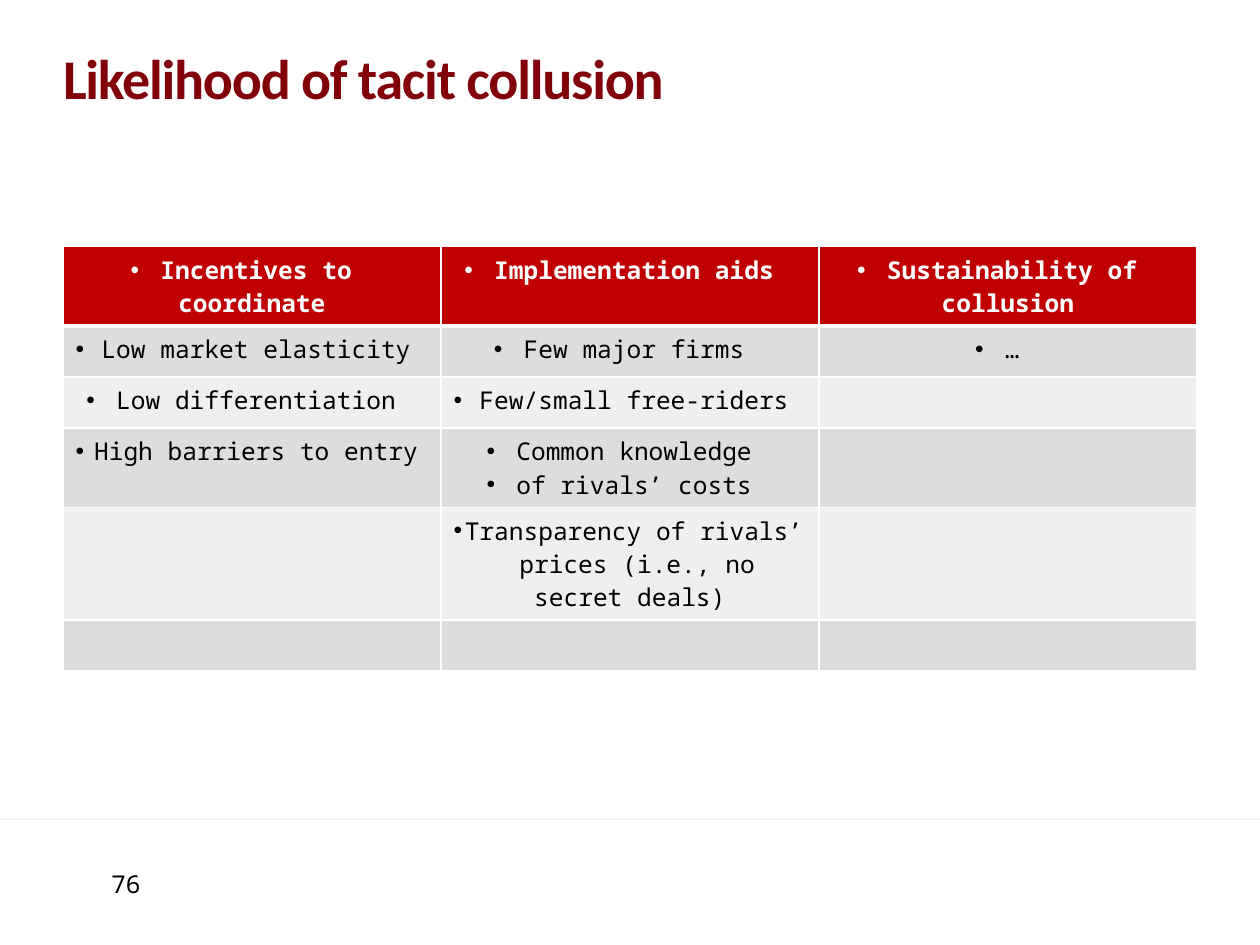
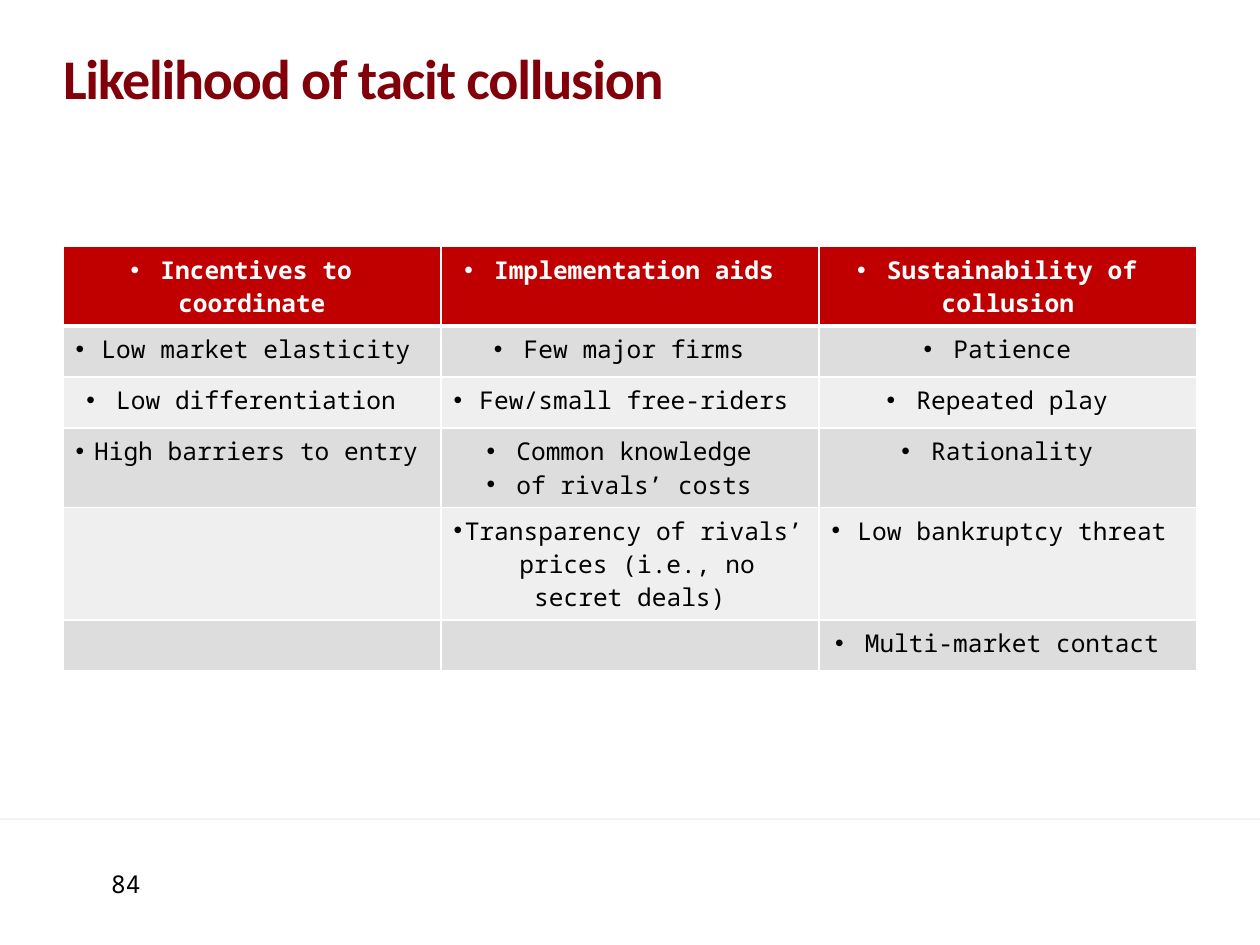
from dataclasses import dataclass

from lxml import etree
from pptx import Presentation
from pptx.dml.color import RGBColor
from pptx.enum.shapes import MSO_CONNECTOR
from pptx.enum.text import MSO_ANCHOR, PP_ALIGN
from pptx.oxml.ns import qn
from pptx.util import Cm, Pt

LEFT, CENTER = PP_ALIGN.LEFT, PP_ALIGN.CENTER
BOTTOM = MSO_ANCHOR.BOTTOM
STRAIGHT = MSO_CONNECTOR.STRAIGHT
TITLE_ONLY = 5


@dataclass(frozen=True)
class Theme:
    title_color: str = "820009"
    rule_color: str = "6E0000"
    rule_alpha: int = 40000
    header_fill: str = "C00000"
    bands: tuple = ("DDDDDD", "EFEFEF")
    text_color: str = "000000"
    white: str = "FFFFFF"
    title_font: str = "Calibri"
    text_font: str = "Noto Sans Mono"
    title_size: float = 32
    text_size: float = 14
    title_tracking: int = -70
    rule_width: float = 0.25
    border_width: float = 1
    header_border_width: float = 3


def sub(parent, tag, **attrs):
    """Append a DrawingML child element and return it."""
    return etree.SubElement(parent, qn(f"a:{tag}"), attrs)


def set_all(obj, **values):
    for name, value in values.items():
        setattr(obj, name, value)


class Deck:
    def __init__(self, theme):
        self.theme = theme
        self.prs = Presentation()
        set_all(self.prs, slide_width=Cm(25.4), slide_height=Cm(19.05))
        self.s = None

    def new_slide(self, title, number):
        self.s = self.prs.slides.add_slide(self.prs.slide_layouts[TITLE_ONLY])
        self.rule()
        self.page_number(number)
        self.title(title)

    def style(self, r, font, size, color, bold=False):
        set_all(r.font, name=font, size=Pt(size), bold=bold)
        r.font.color.rgb = RGBColor.from_string(color)

    def rule(self):
        y = Cm(16.51)
        line = self.s.shapes.add_connector(STRAIGHT, 0, y, self.prs.slide_width, y)
        line.line.color.rgb = RGBColor.from_string(self.theme.rule_color)
        line.line.width = Pt(self.theme.rule_width)
        spPr = line._element.spPr
        sub(spPr.find(".//" + qn("a:srgbClr")), "alpha", val=str(self.theme.rule_alpha))
        sub(spPr, "effectLst")

    def title(self, text):
        t, sp = self.theme, self.s.shapes.title
        set_all(sp, left=Cm(1.27), top=Cm(0.74), width=Cm(22.86), height=Cm(1.52))
        tf = sp.text_frame
        set_all(tf, margin_left=0, margin_top=0, margin_right=0, margin_bottom=0,
                vertical_anchor=BOTTOM, word_wrap=True)
        p = tf.paragraphs[0]
        set_all(p, alignment=LEFT, line_spacing=0.9)
        r = p.add_run()
        r.text = text
        self.style(r, t.title_font, t.title_size, t.title_color, bold=True)
        r._r.get_or_add_rPr().set("spc", str(t.title_tracking))

    def page_number(self, number):
        sp = self.s.shapes.add_textbox(Cm(1.24), Cm(17.4), Cm(2.6), Cm(0.86))
        sp.text_frame.word_wrap = True
        self.paragraph(sp.text_frame.paragraphs[0], str(number), self.theme.text_color)

    def paragraph(self, p, text, color, bold=False, bullet=False):
        t = self.theme
        set_all(p, alignment=CENTER, space_before=Pt(0))
        if bullet:
            pPr = p._p.get_or_add_pPr()
            set_all(pPr, marL=0, indent=0)
            sub(pPr, "buFont", typeface="Arial")
            sub(pPr, "buChar", char="•")
        r = p.add_run()
        r.text = text
        self.style(r, t.text_font, t.text_size, color, bold)

    def border(self, cell, bottom_width):
        tcPr = cell._tc.get_or_add_tcPr()
        widths = dict.fromkeys(("lnL", "lnR", "lnT"), self.theme.border_width)
        widths["lnB"] = bottom_width
        for i, (side, width) in enumerate(widths.items()):
            ln = sub(tcPr, side, w=str(Pt(width)))
            sub(sub(ln, "solidFill"), "srgbClr", val=self.theme.white)
            tcPr.insert(i, ln)

    def cell(self, cell, text, row):
        t, header = self.theme, row == 0
        cell.fill.solid()
        fill = t.header_fill if header else t.bands[(row - 1) % 2]
        cell.fill.fore_color.rgb = RGBColor.from_string(fill)
        self.border(cell, t.header_border_width if header else t.border_width)
        tf = cell.text_frame
        for i, line in enumerate(text.splitlines()):
            p = tf.add_paragraph() if i else tf.paragraphs[0]
            self.paragraph(p, line, t.white if header else t.text_color, header, bullet=True)

    def table(self, columns, row_heights):
        """Add a table from {heading: [entries]}, leaving short columns blank."""
        row_count = len(row_heights)
        frame = self.s.shapes.add_table(row_count, len(columns), Cm(1.27), Cm(4.97),
                                        Cm(22.86), Cm(sum(row_heights)))
        tbl = frame.table
        set_all(tbl, first_row=False, horz_banding=False)
        for row, height in zip(tbl.rows, row_heights):
            row.height = Cm(height)
        for col, (heading, entries) in enumerate(columns.items()):
            texts = [heading, *entries]
            texts += [""] * (row_count - len(texts))
            for row, text in enumerate(texts):
                self.cell(tbl.cell(row, col), text, row)


ONE_LINE, TWO_LINES, THREE_LINES = 1.03, 1.6, 2.27
ROW_HEIGHTS = [TWO_LINES, ONE_LINE, ONE_LINE, TWO_LINES, THREE_LINES, ONE_LINE]
INCENTIVES = ["Low market elasticity", "Low differentiation", "High barriers to entry"]
AIDS = ["Few major firms", "Few/small free-riders", "Common knowledge\nof rivals’ costs",
        "Transparency of rivals’  prices (i.e., no secret deals)"]
SUSTAINABILITY = {
    76: ["…"],
    84: ["Patience", "Repeated play", "Rationality", "Low bankruptcy threat",
         "Multi-market contact"],
}


def main():
    deck = Deck(Theme())
    for number, sustainability in SUSTAINABILITY.items():
        deck.new_slide("Likelihood of tacit collusion", number)
        deck.table({
            "Incentives to coordinate": INCENTIVES,
            "Implementation aids": AIDS,
            "Sustainability of collusion": sustainability,
        }, ROW_HEIGHTS)
    deck.prs.save("out.pptx")


if __name__ == "__main__":
    main()
